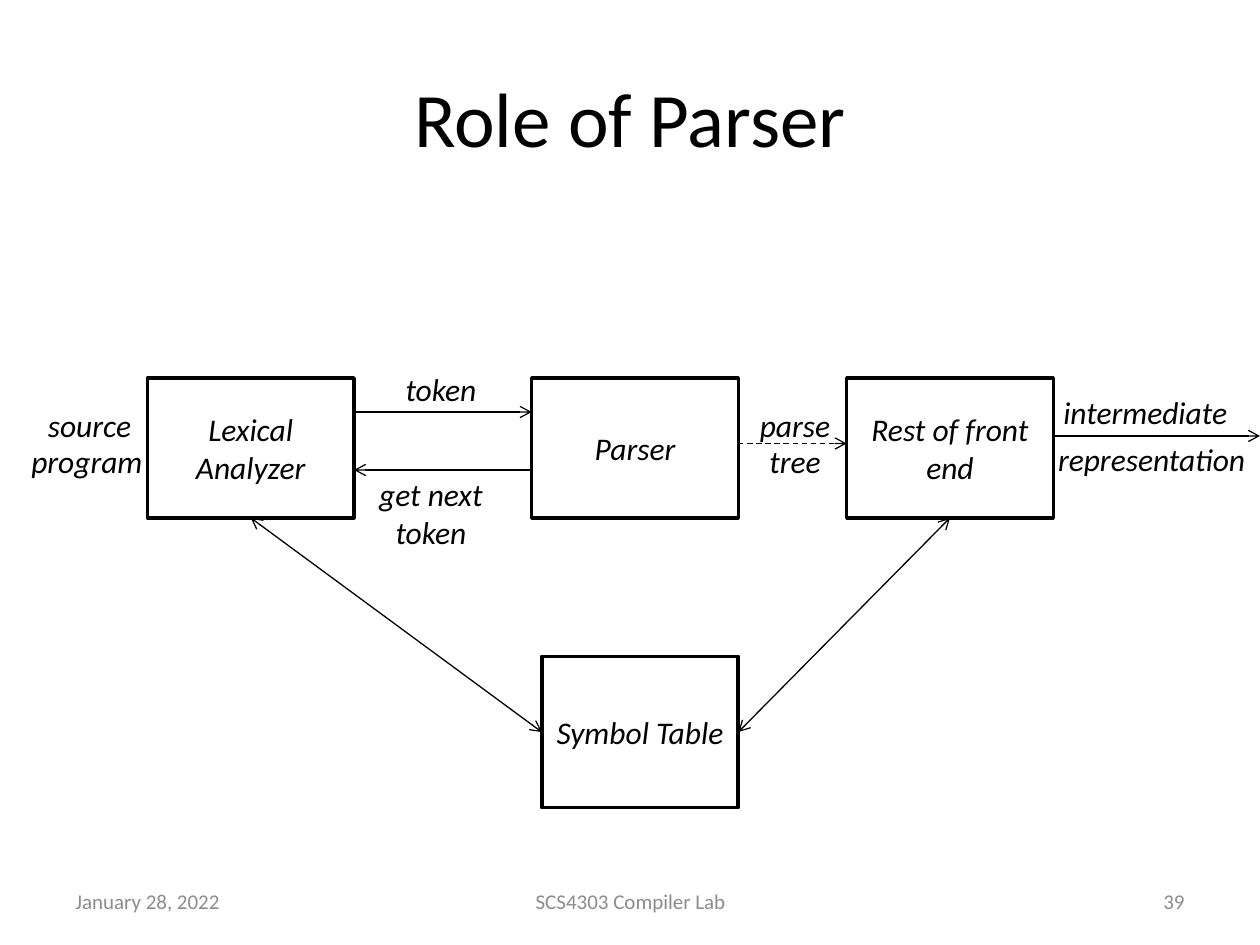
"""Build the "Role of Parser" slide: a block diagram of a compiler front end."""
from pptx import Presentation
from pptx.dml.color import RGBColor
from pptx.enum.dml import MSO_LINE_DASH_STYLE as Dash
from pptx.enum.shapes import MSO_CONNECTOR as Connector, MSO_SHAPE as Shape
from pptx.enum.text import MSO_ANCHOR as Anchor, PP_ALIGN as Align
from pptx.oxml.ns import qn
from pptx.util import Inches, Pt
from lxml.etree import SubElement

THEME = {
    "font": "Calibri",
    "ink": RGBColor(0, 0, 0),
    "muted": RGBColor(0x8C, 0x8C, 0x8C),
    "paper": RGBColor(255, 255, 255),
    "title": Pt(44),
    "body": Pt(18),
    "footer": Pt(12),
    "box_line": Pt(2),
    "arrow_line": Pt(0.75),
}

presentation = Presentation()
presentation.slide_width, presentation.slide_height = Inches(10), Inches(7.5)
slide = presentation.slides.add_slide(presentation.slide_layouts[6])
COLUMN = presentation.slide_width / 100
ROW = presentation.slide_height / 75


def place(left, top, width, height):
    return round(left * COLUMN), round(top * ROW), round(width * COLUMN), round(height * ROW)


def write(shape, text, size, color="ink", align=Align.CENTER, anchor=Anchor.MIDDLE, italic=False):
    frame = shape.text_frame
    frame.text = text
    frame.word_wrap = True
    frame.vertical_anchor = anchor
    paragraph = frame.paragraphs[0]
    paragraph.alignment = align
    font = paragraph.runs[0].font
    font.name, font.size, font.italic = THEME["font"], THEME[size], italic
    font.color.rgb = THEME[color]


title = slide.shapes.add_textbox(*place(5, 3, 90, 12.5))
write(title, "Role of Parser", "title")

for text, left, width, align in [
    ("January 28, 2022", 5, 23.3, Align.LEFT),
    ("SCS4303 Compiler Lab", 34.2, 31.7, Align.CENTER),
    ("39", 71.7, 23.3, Align.RIGHT),
]:
    footer = slide.shapes.add_textbox(*place(left, 69.5, width, 4))
    write(footer, text, "footer", "muted", align)

STAGE_TOP, STAGE_WIDTH, STAGE_HEIGHT = 30, 16.4, 11.1
LEXER, PARSER, REST = 11.7, 42.2, 67.2
LEXER_END, PARSER_END, REST_END = (left + STAGE_WIDTH for left in (LEXER, PARSER, REST))
SYMBOLS_WIDTH = 15.6

boxes = {}
for text, left, top, width, height in [
    ("Lexical Analyzer", LEXER, STAGE_TOP, STAGE_WIDTH, STAGE_HEIGHT),
    ("Parser", PARSER, STAGE_TOP, STAGE_WIDTH, STAGE_HEIGHT),
    ("Rest of front end", REST, STAGE_TOP, STAGE_WIDTH, STAGE_HEIGHT),
    ("Symbol Table", PARSER_END - SYMBOLS_WIDTH, 52.1, SYMBOLS_WIDTH, 12),
]:
    box = slide.shapes.add_shape(Shape.RECTANGLE, *place(left, top, width, height))
    box.shadow.inherit = False
    box.fill.solid()
    box.fill.fore_color.rgb = THEME["paper"]
    box.line.color.rgb = THEME["ink"]
    box.line.width = THEME["box_line"]
    write(box, text, "body", italic=True)
    boxes[text] = box

for text, center, top, width, height in [
    ("source", 7.1, 31.7, 10.2, 4.8),
    ("program", 6.9, 34.6, 11.7, 4.8),
    ("token", 35, 28.9, 11.7, 4.8),
    ("get next token", 34.2, 37.2, 14.8, 8.3),
    ("parse", 63.1, 31.7, 11.7, 4.8),
    ("tree", 63.1, 34.6, 11.7, 4.8),
    ("intermediate", 90.9, 30.7, 15.6, 4.8),
    ("representation", 91.4, 34.4, 17.2, 4.8),
]:
    label = slide.shapes.add_textbox(*place(center - width / 2, top, width, height))
    write(label, text, "body", anchor=Anchor.TOP, italic=True)

arrows = []
for start, end, level in [
    (LEXER_END, PARSER, 32.7),
    (PARSER, LEXER_END, 37.3),
    (PARSER_END, REST, 35.2),
    (REST_END, 100, 34.6),
]:
    points = place(start, level, end, level)
    arrows.append(slide.shapes.add_connector(Connector.STRAIGHT, *points))
arrows[2].line.dash_style = Dash.DASH

BOTTOM, LEFT, RIGHT = 2, 1, 3
links = []
for source, source_side, target, target_side in [
    ("Lexical Analyzer", BOTTOM, "Symbol Table", LEFT),
    ("Symbol Table", RIGHT, "Rest of front end", BOTTOM),
]:
    link = slide.shapes.add_connector(Connector.STRAIGHT, 0, 0, 0, 0)
    link.begin_connect(boxes[source], source_side)
    link.end_connect(boxes[target], target_side)
    links.append(link)

for arrow in arrows + links:
    arrow.line.color.rgb = THEME["ink"]
    arrow.line.width = THEME["arrow_line"]
    line = arrow.line._get_or_add_ln()
    for tag in ["a:headEnd", "a:tailEnd"] if arrow in links else ["a:tailEnd"]:
        SubElement(line, qn(tag), type="arrow")
    SubElement(arrow._element.spPr, qn("a:effectLst"))

presentation.save("out.pptx")
